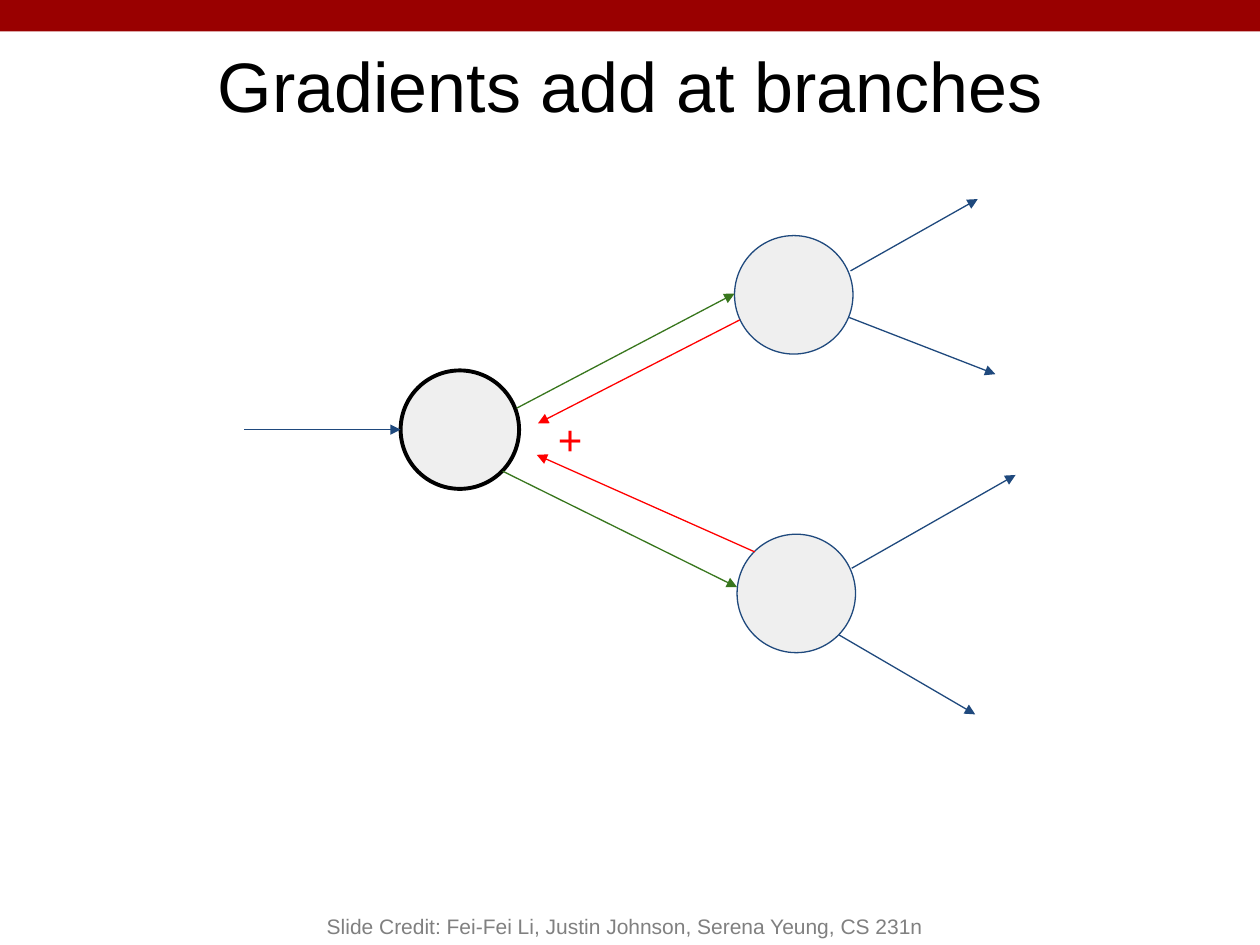
from pptx import Presentation
from pptx.dml.color import RGBColor
from pptx.enum.shapes import MSO_CONNECTOR, MSO_SHAPE
from pptx.enum.text import MSO_ANCHOR, PP_ALIGN
from pptx.oxml.ns import qn
from pptx.util import Pt
from lxml.etree import SubElement

PX = 9144  # 100 px to the inch
BLACK = RGBColor(0x00, 0x00, 0x00)
BAR_RED = RGBColor(0x99, 0x00, 0x00)
NODE_GRAY = RGBColor(0xEF, 0xEF, 0xEF)
BLUE = RGBColor(0x1F, 0x49, 0x7D)
GREEN = RGBColor(0x38, 0x76, 0x1D)
RED = RGBColor(0xFF, 0x00, 0x00)
CREDIT_GRAY = RGBColor(0x80, 0x80, 0x80)


def add_box(shape_type, x, y, w, h, fill):
    sp = s.shapes.add_shape(shape_type, x * PX, y * PX, w * PX, h * PX)
    sp.shadow.inherit = False
    sp.fill.solid()
    sp.fill.fore_color.rgb = fill
    return sp


def set_text(sp, text, size, color, align, anchor, inset):
    tf = sp.text_frame
    tf.word_wrap = True
    tf.vertical_anchor = anchor
    tf.margin_left = tf.margin_right = 10 * PX
    tf.margin_top = tf.margin_bottom = inset * PX
    tf.text = text
    p = tf.paragraphs[0]
    p.alignment = align
    font = p.runs[0].font
    font.name, font.size, font.color.rgb = "Arial", Pt(size), color


prs = Presentation()
prs.slide_width, prs.slide_height = 1000 * PX, 750 * PX
s = prs.slides.add_slide(prs.slide_layouts[5])

# Top bar
add_box(MSO_SHAPE.RECTANGLE, 0, 0, 1000, 25, BAR_RED).line.fill.background()

# Title
title = s.shapes.title
title.left, title.top, title.width, title.height = 34 * PX, 25 * PX, 932 * PX, 84 * PX
set_text(title, "Gradients add at branches", 40, BLACK,
         PP_ALIGN.CENTER, MSO_ANCHOR.MIDDLE, 10)

# Nodes: the branching one, then its two successors
NODE_SIZE = 94
for x, y, color, width in [(318, 294, BLACK, 2.25), (583, 187, BLUE, 0.75),
                           (585, 424, BLUE, 0.75)]:
    node = add_box(MSO_SHAPE.OVAL, x, y, NODE_SIZE, NODE_SIZE, NODE_GRAY)
    node.line.color.rgb = color
    node.line.width = Pt(width)

# Arrows: green forward, red gradients back, blue inputs and outputs
arrows = {
    GREEN: [(410, 324, 583, 233), (399, 374, 585, 466)],
    RED: [(587, 254, 427, 336), (599, 438, 426, 361)],
    BLUE: [(194, 341, 318, 341),
           (675, 215, 776, 158), (674, 252, 790, 297),
           (676, 451, 806, 377), (666, 504, 774, 567)],
}
for color, ends in arrows.items():
    for x1, y1, x2, y2 in ends:
        arrow = s.shapes.add_connector(MSO_CONNECTOR.STRAIGHT,
                                       x1 * PX, y1 * PX, x2 * PX, y2 * PX)
        arrow.line.color.rgb = color
        arrow.line.width = Pt(0.75)
        SubElement(arrow.line._get_or_add_ln(), qn("a:tailEnd"),
                   type="triangle", w="med", len="med")
        SubElement(arrow._element.spPr, qn("a:effectLst"))

# Sum sign where the gradients meet
plus = s.shapes.add_textbox(433 * PX, 318 * PX, 43 * PX, 45 * PX)
set_text(plus, "+", 24, RED, PP_ALIGN.LEFT, MSO_ANCHOR.TOP, 10)

# Credit line
credit = s.shapes.add_textbox(200 * PX, 700 * PX, 592 * PX, 50 * PX)
set_text(credit, "Slide Credit: Fei-Fei Li, Justin Johnson, Serena Yeung, CS 231n",
         12, CREDIT_GRAY, PP_ALIGN.CENTER, MSO_ANCHOR.BOTTOM, 5)

prs.save("out.pptx")
